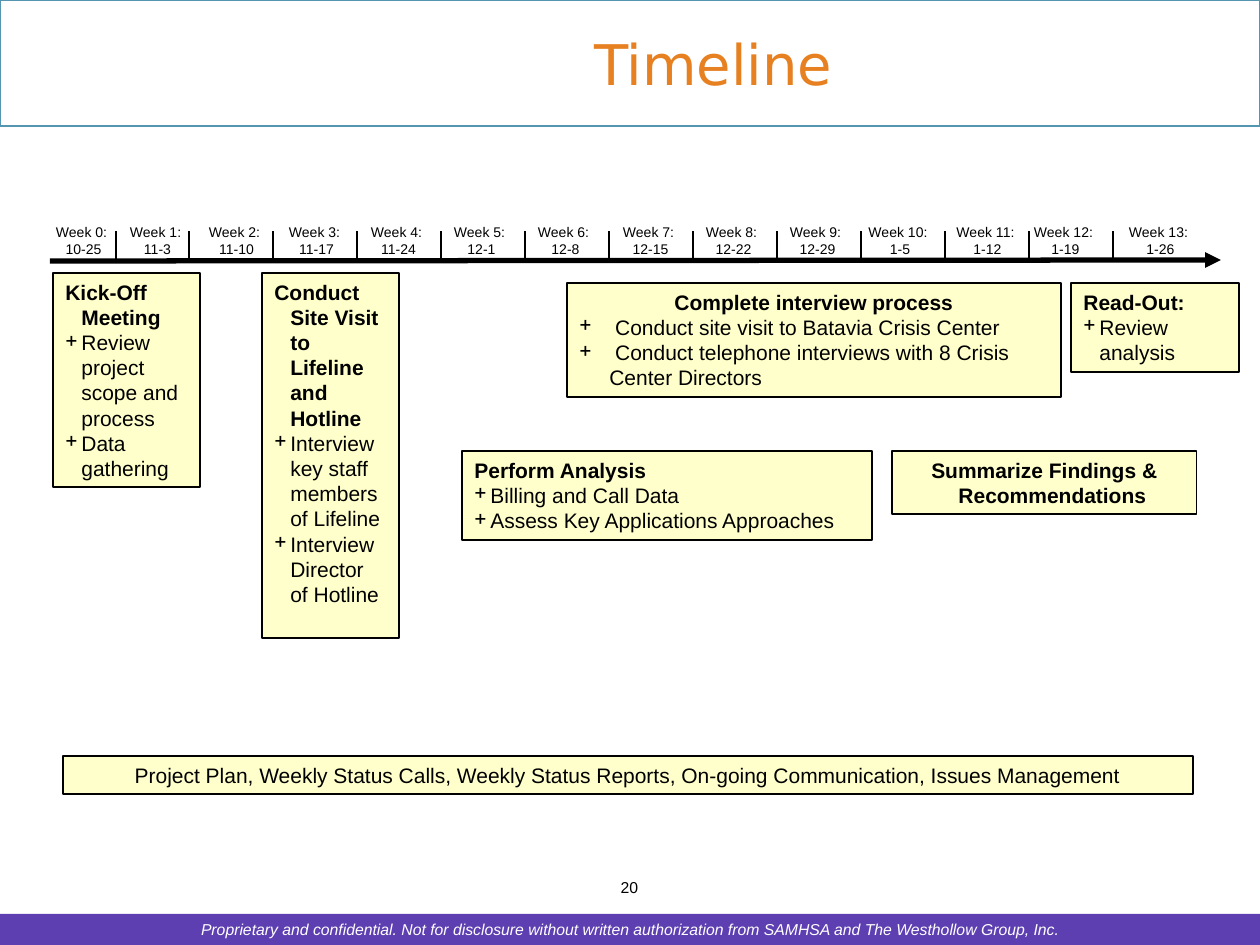
from lxml import etree
from pptx import Presentation
from pptx.dml.color import RGBColor
from pptx.enum.shapes import MSO_CONNECTOR, MSO_SHAPE
from pptx.enum.text import MSO_ANCHOR, PP_ALIGN
from pptx.oxml.ns import qn
from pptx.util import Emu, Pt

LEFT, CENTER = PP_ALIGN.LEFT, PP_ALIGN.CENTER
TOP, MIDDLE = MSO_ANCHOR.TOP, MSO_ANCHOR.MIDDLE
RECT = MSO_SHAPE.RECTANGLE
STRAIGHT = MSO_CONNECTOR.STRAIGHT
PX = 914400 // 126
COLORS = {"purple": "5D3FB1", "teal": "5495AF", "orange": "E68020",
          "cream": "FFFFCC", "black": "000000", "white": "FFFFFF"}

# Content
TITLE = "Timeline"
FOOTER = ("Proprietary and confidential. Not for disclosure without written "
          "authorization from SAMHSA and The Westhollow Group, Inc.")
PAGE = "20"
ONGOING = ("Project Plan, Weekly Status Calls, Weekly Status Reports, "
           "On-going Communication, Issues Management")

# Weeks 0 to 13: date, label left, label width
WEEKS = [("10-25", 43, 81), ("11-3", 105, 105), ("11-10", 189, 95),
         ("11-17", 276, 81), ("11-24", 358, 81), ("12-1", 441, 81),
         ("12-8", 525, 81), ("12-15", 610, 81), ("12-22", 693, 81),
         ("12-29", 777, 81), ("1-5", 840, 120), ("1-12", 935, 105),
         ("1-19", 1018, 95), ("1-26", 1113, 95)]
TICKS = [116, 189] + [273 + 84 * i for i in range(11)]

# Activities: box, heading, heading alignment, heading indent, bullet indent, bullets
ACTIVITIES = [
    ((53, 273, 147, 214), "Kick-Off Meeting", LEFT, 16, 16,
     ["Review project scope and process", "Data gathering"]),
    ((262, 273, 137, 365), "Conduct Site Visit to Lifeline and Hotline", LEFT, 16, 16,
     ["Interview key staff members of Lifeline", "Interview Director of Hotline"]),
    ((462, 451, 410, 89), "Perform Analysis", LEFT, 16, 16,
     ["Billing and Call Data", "Assess Key Applications Approaches"]),
    ((567, 283, 494, 114), "Complete interview process", CENTER, 0, 30,
     [" Conduct site visit to Batavia Crisis Center",
      " Conduct telephone interviews with 8 Crisis Center Directors"]),
    ((1071, 283, 168, 89), "Read-Out:", LEFT, 16, 16, ["Review analysis"]),
    ((892, 451, 305, 63), "Summarize Findings & Recommendations", CENTER, 16, 16, []),
]


def px(*values):
    return [Emu(v * PX) for v in values]


def rgb(name):
    return RGBColor.from_string(COLORS[name])


def add_rect(slide, box, fill=None, line=None, width=0.75):
    sp = slide.shapes.add_shape(RECT, *px(*box))
    sp.shadow.inherit = False
    if fill:
        sp.fill.solid()
        sp.fill.fore_color.rgb = rgb(fill)
    else:
        sp.fill.background()
    if line:
        sp.line.color.rgb = rgb(line)
        sp.line.width = Pt(width)
    else:
        sp.line.fill.background()
    return sp


def add_line(slide, ends, width, arrow=False):
    sp = slide.shapes.add_connector(STRAIGHT, *px(*ends))
    sp.line.color.rgb = rgb("black")
    sp.line.width = Pt(width)
    if arrow:
        etree.SubElement(sp.line._get_or_add_ln(), qn("a:tailEnd"), type="triangle")
    etree.SubElement(sp._element.spPr, qn("a:effectLst"))


def write(sp, lines, size, align=CENTER, color="black", font="Arial", anchor=TOP, wrap=True):
    tf = sp.text_frame
    tf.word_wrap = wrap
    tf.vertical_anchor = anchor
    tf.text = "\n".join(lines)
    for p in tf.paragraphs:
        p.alignment = align
        p.line_spacing = Pt(round(size * 1.2, 1))
        for r in p.runs:
            r.font.size = Pt(size)
            r.font.name = font
            r.font.color.rgb = rgb(color)
    return tf.paragraphs


def hang(p, indent, bullet=None):
    pPr = p._p.get_or_add_pPr()
    pPr.set("marL", str(indent * PX))
    pPr.set("indent", str(-indent * PX))
    if bullet:
        etree.SubElement(pPr, qn("a:buChar"), char=bullet)


def add_activity(slide, box, heading, align, head_indent, indent, bullets):
    sp = add_rect(slide, box, "cream", "black")
    head, *items = write(sp, [heading] + bullets, 12, LEFT)
    head.alignment = align
    head.runs[0].font.bold = True
    hang(head, head_indent)
    for p in items:
        hang(p, indent, "+")


def main():
    prs = Presentation()
    prs.slide_width, prs.slide_height = px(1260, 945)
    slide = prs.slides.add_slide(prs.slide_layouts[5])

    # Title and header frame
    add_rect(slide, (0, 0, 1260, 126), line="teal", width=1.5)
    title = slide.shapes.title
    title.left, title.top, title.width, title.height = px(173, 0, 1081, 126)
    write(title, [TITLE], 32, color="orange", font="DejaVu Sans", anchor=MIDDLE)

    # Week axis
    add_line(slide, (50, 261, 1221, 260), 3, arrow=True)
    for x in TICKS:
        add_line(slide, (x, 231, x, 262), 1.5)
    for week, (date, left, width) in enumerate(WEEKS):
        label = slide.shapes.add_textbox(*px(left, 217, width, 47))
        write(label, [f"Week {week}: ", date], 8, wrap=False)

    # Activities
    for activity in ACTIVITIES:
        add_activity(slide, *activity)
    write(add_rect(slide, (63, 756, 1130, 38), "cream", "black"), [ONGOING], 12)

    # Page number and footer
    write(slide.shapes.add_textbox(*px(603, 872, 53, 32)), [PAGE], 9)
    add_rect(slide, (0, 914, 1260, 31), "purple")
    footer = slide.shapes.add_textbox(*px(126, 914, 1008, 31))
    write(footer, [FOOTER], 9, color="white")[0].runs[0].font.italic = True

    prs.save("out.pptx")


if __name__ == "__main__":
    main()
